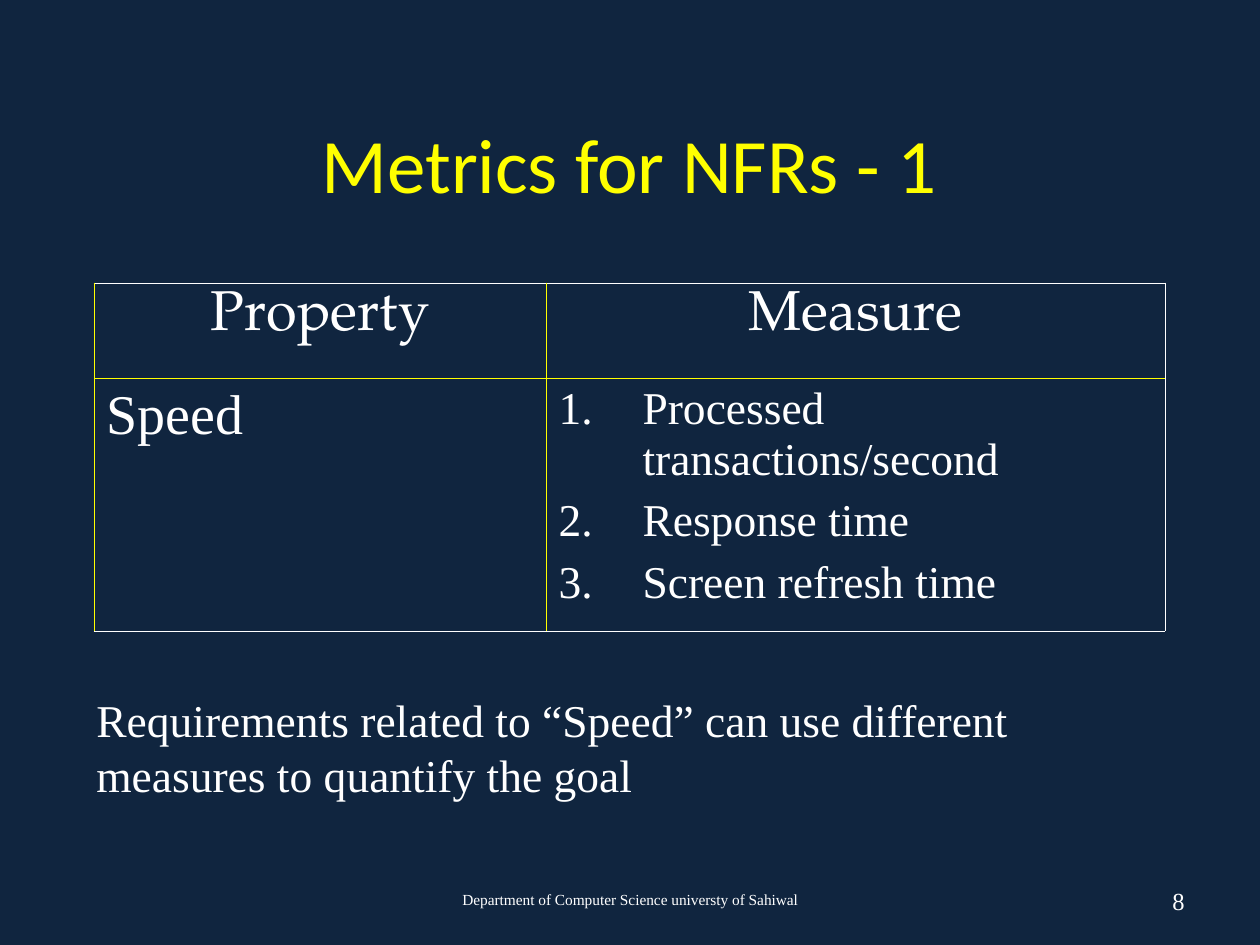
"""Build the slide on metrics for non-functional requirements."""
from dataclasses import dataclass

from lxml.etree import SubElement
from pptx import Presentation
from pptx.dml.color import RGBColor
from pptx.enum.text import MSO_ANCHOR, PP_ALIGN
from pptx.oxml.ns import qn
from pptx.util import Emu, Pt


@dataclass
class Theme:
    back: str = "10253F"
    text: str = "FFFFFF"
    gold: str = "FFFF00"
    sans: str = "Calibri"
    serif: str = "Times New Roman"
    head: str = "TeX Gyre Pagella"
    title: int = 44
    large: int = 32
    body: int = 26
    page: int = 14
    foot: float = 8.8
    rule: float = 0.45


def px(count):
    return Emu(round(count * 914400 / 126))


def style(para, size, face, color, align=PP_ALIGN.LEFT):
    para.alignment = align
    para.font.size = Pt(size)
    para.font.name = face
    para.font.bold = False
    para.font.color.rgb = RGBColor.from_string(color)


theme = Theme()
deck = Presentation()
deck.slide_width, deck.slide_height = px(1260), px(945)
slide = deck.slides.add_slide(deck.slide_layouts[5])
slide.background.fill.solid()
slide.background.fill.fore_color.rgb = RGBColor.from_string(theme.back)

title = slide.shapes.title
title.left, title.top, title.width, title.height = px(94), px(84), px(1071), px(158)
title.text_frame.text = "Metrics for NFRs - 1"
title.text_frame.vertical_anchor = MSO_ANCHOR.MIDDLE
style(title.text_frame.paragraphs[0], theme.title, theme.sans, theme.gold, PP_ALIGN.CENTER)

table = slide.shapes.add_table(2, 2, px(94), px(283), px(1071), px(348)).table
table.first_row = table.horz_banding = False
for col, width in zip(table.columns, (452, 619)):
    col.width = px(width)
for row, height in zip(table.rows, (95, 253)):
    row.height = px(height)

center, left = PP_ALIGN.CENTER, PP_ALIGN.LEFT
cells = [
    [("Property", theme.large, theme.head, center), ("Measure", theme.large, theme.head, center)],
    [
        ("Speed", theme.large, theme.serif, left),
        ("Processed transactions/second\nResponse time\nScreen refresh time",
         theme.body, theme.serif, left),
    ],
]
for r, row in enumerate(cells):
    for c, (text, size, face, align) in enumerate(row):
        cell = table.cell(r, c)
        cell.text = text
        props = cell._tc.get_or_add_tcPr()
        edges = {"L": theme.gold, "R": theme.text if c else theme.gold,
                 "T": theme.gold if r else theme.text, "B": theme.text if r else theme.gold}
        for side, color in edges.items():
            line = SubElement(props, qn(f"a:ln{side}"), w=str(Pt(theme.rule)))
            fill = SubElement(line, qn("a:solidFill"))
            SubElement(fill, qn("a:srgbClr"), val=color)
        cell.fill.background()
        for para in cell.text_frame.paragraphs:
            style(para, size, face, theme.text, align)

items = table.cell(1, 1).text_frame.paragraphs
for item in items:
    props = item._p.get_or_add_pPr()
    props.set("marL", str(px(84)))
    props.set("indent", str(-px(84)))
    tint = SubElement(props, qn("a:buClr"))
    SubElement(tint, qn("a:srgbClr"), val=theme.text)
    SubElement(props, qn("a:buAutoNum"), type="arabicPeriod")
    props.append(props.find(qn("a:defRPr")))
for item in items[1:]:
    item.space_before = Pt(6.5)

middle, top = MSO_ANCHOR.MIDDLE, MSO_ANCHOR.TOP
notes = [
    ("Department of Computer Science universty of Sahiwal",
     (431, 876, 399, 50), theme.foot, center, middle, 0.8),
    ("8", (903, 876, 294, 50), theme.page, PP_ALIGN.RIGHT, middle, 1.0),
    ("Requirements related to “Speed” can use different measures to quantify the goal",
     (84, 686, 1092, 122), theme.body, left, top, 1.0),
]
for text, area, size, align, anchor, pitch in notes:
    frame = slide.shapes.add_textbox(*map(px, area)).text_frame
    frame.word_wrap = True
    frame.vertical_anchor = anchor
    frame.text = text
    para = frame.paragraphs[0]
    para.line_spacing = pitch
    style(para, size, theme.serif, theme.text, align)

deck.save("out.pptx")
